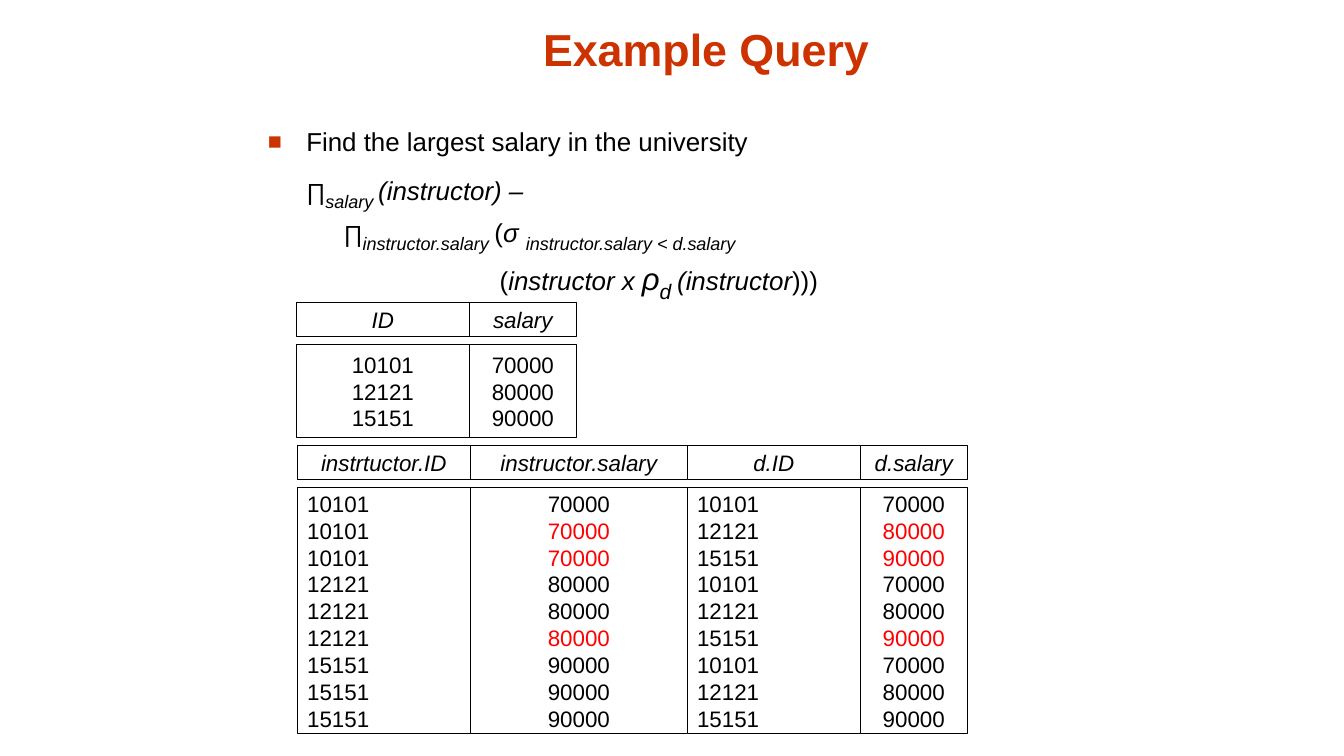
from dataclasses import dataclass
from itertools import product
from lxml.etree import SubElement
from pptx import Presentation
from pptx.dml.color import RGBColor
from pptx.enum.shapes import MSO_SHAPE
from pptx.enum.text import MSO_ANCHOR, MSO_AUTO_SIZE, PP_ALIGN
from pptx.oxml.ns import qn
from pptx.util import Inches, Pt

COLORS = {"accent": "CC3300", "text": "000000", "match": "FF0000", "fill": "FFFFFF"}
HEADER_HEIGHT = 0.34
BODY_OFFSET = 0.42
SUBSCRIPT = "-25000"


@dataclass
class Span:
    text: str
    size: float = 18.5
    italic: bool = False
    sub: bool = False


@dataclass
class Line:
    indent: float
    spans: list[Span]
    before: float = 0
    bullet: bool = False


@dataclass
class Column:
    header: str
    width: float
    values: list[str]
    align: PP_ALIGN = PP_ALIGN.CENTER
    red_rows: tuple[int, ...] = ()


@dataclass
class Relation:
    left: float
    top: float
    body_height: float
    columns: list[Column]


INSTRUCTORS = [("10101", "70000"), ("12121", "80000"), ("15151", "90000")]
PAIRS = list(product(INSTRUCTORS, repeat=2))
SMALLER = tuple(i for i, (a, d) in enumerate(PAIRS) if a[1] < d[1])

QUERY = [
    Line(0.38, [Span("Find the largest salary in the university")], bullet=True),
    Line(0.38, [Span("∏", 16.6), Span("salary ", 22.2, True, True),
                Span("(instructor) –", italic=True)], before=8.8),
    Line(0.75, [Span("∏", 16.6), Span("instructor.salary", 22.2, True, True),
                Span(" ", 14.8), Span("("), Span("σ ", italic=True),
                Span("instructor.salary < d.salary", 22.2, True, True)]),
    Line(2.3, [Span("("), Span("instructor x ", italic=True),
               Span("ρ", 22.2, True), Span("d", 25.9, True, True),
               Span(" ", 14.8), Span("(instructor", italic=True), Span(")))")]),
]

RELATIONS = [
    Relation(2.94, 3, 0.92, [
        Column("ID", 1.72, [i for i, _ in INSTRUCTORS]),
        Column("salary", 1.06, [pay for _, pay in INSTRUCTORS]),
    ]),
    Relation(2.95, 4.42, 2.44, [
        Column("instrtuctor.ID", 1.72, [a[0] for a, _ in PAIRS], PP_ALIGN.LEFT),
        Column("instructor.salary", 2.15, [a[1] for a, _ in PAIRS], red_rows=SMALLER),
        Column("d.ID", 1.72, [d[0] for _, d in PAIRS], PP_ALIGN.LEFT),
        Column("d.salary", 1.06, [d[1] for _, d in PAIRS], red_rows=SMALLER),
    ]),
]


def rgb(name: str) -> RGBColor:
    return RGBColor.from_string(COLORS[name])


def place(sp, left: float, top: float, width: float, height: float) -> None:
    box = {"left": left, "top": top, "width": width, "height": height}
    for name, value in box.items():
        setattr(sp, name, Inches(value))


def add_run(p, text: str, size: float, color: str = "text",
            italic: bool = False, bold: bool = False):
    r = p.add_run()
    r.text = text
    fmt = {"name": "Arial", "size": Pt(size), "italic": italic, "bold": bold}
    for name, value in fmt.items():
        setattr(r.font, name, value)
    r.font.color.rgb = rgb(color)
    return r


def set_bullet(p, line: Line) -> None:
    pPr = p._p.get_or_add_pPr()
    pPr.set("marL", str(Inches(line.indent)))
    pPr.set("indent", str(-Inches(line.indent) if line.bullet else 0))
    if not line.bullet:
        SubElement(pPr, qn("a:buNone"))
        return
    color = SubElement(pPr, qn("a:buClr"))
    SubElement(color, qn("a:srgbClr"), val=COLORS["accent"])
    SubElement(pPr, qn("a:buSzPct"), val="90000")
    SubElement(pPr, qn("a:buFont"), typeface="Arial")
    SubElement(pPr, qn("a:buChar"), char="■")


def fill_title(sp) -> None:
    place(sp, 1.12, 0.13, 11.78, 0.67)
    tf = sp.text_frame
    tf.auto_size = MSO_AUTO_SIZE.NONE
    tf.vertical_anchor = MSO_ANCHOR.BOTTOM
    p = tf.paragraphs[0]
    p.alignment = PP_ALIGN.CENTER
    add_run(p, "Example Query", 32, "accent", bold=True)


def fill_query(sp, lines: list[Line]) -> None:
    place(sp, 2.56, 1.2, 8.65, 1.8)
    tf = sp.text_frame
    tf.auto_size = MSO_AUTO_SIZE.NONE
    for i, line in enumerate(lines):
        p = tf.add_paragraph() if i else tf.paragraphs[0]
        p.space_before = Pt(line.before)
        set_bullet(p, line)
        for span in line.spans:
            r = add_run(p, span.text, span.size, italic=span.italic)
            if span.sub:
                r.font._element.set("baseline", SUBSCRIPT)


def add_cell(s, left: float, top: float, width: float, height: float,
             values: list[str], align: PP_ALIGN, italic: bool = False,
             red_rows: tuple[int, ...] = ()) -> None:
    sp = s.shapes.add_shape(MSO_SHAPE.RECTANGLE, 0, 0, 0, 0)
    place(sp, left, top, width, height)
    sp.shadow.inherit = False
    sp.fill.solid()
    sp.fill.fore_color.rgb = rgb("fill")
    sp.line.color.rgb = rgb("text")
    sp.line.width = Pt(0.75)
    tf = sp.text_frame
    tf.word_wrap = True
    tf.vertical_anchor = MSO_ANCHOR.MIDDLE
    for i, value in enumerate(values):
        p = tf.add_paragraph() if i else tf.paragraphs[0]
        p.alignment = align
        add_run(p, value, 16, "match" if i in red_rows else "text", italic)


def add_relation(s, rel: Relation) -> None:
    left = rel.left
    for col in rel.columns:
        add_cell(s, left, rel.top, col.width, HEADER_HEIGHT,
                 [col.header], PP_ALIGN.CENTER, italic=True)
        add_cell(s, left, rel.top + BODY_OFFSET, col.width, rel.body_height,
                 col.values, col.align, red_rows=col.red_rows)
        left += col.width


def main() -> None:
    prs = Presentation()
    prs.slide_width = Inches(13.34)
    prs.slide_height = Inches(7.5)
    s = prs.slides.add_slide(prs.slide_layouts[1])
    fill_title(s.shapes.title)
    fill_query(s.placeholders[1], QUERY)
    for rel in RELATIONS:
        add_relation(s, rel)
    prs.save("out.pptx")


if __name__ == "__main__":
    main()
